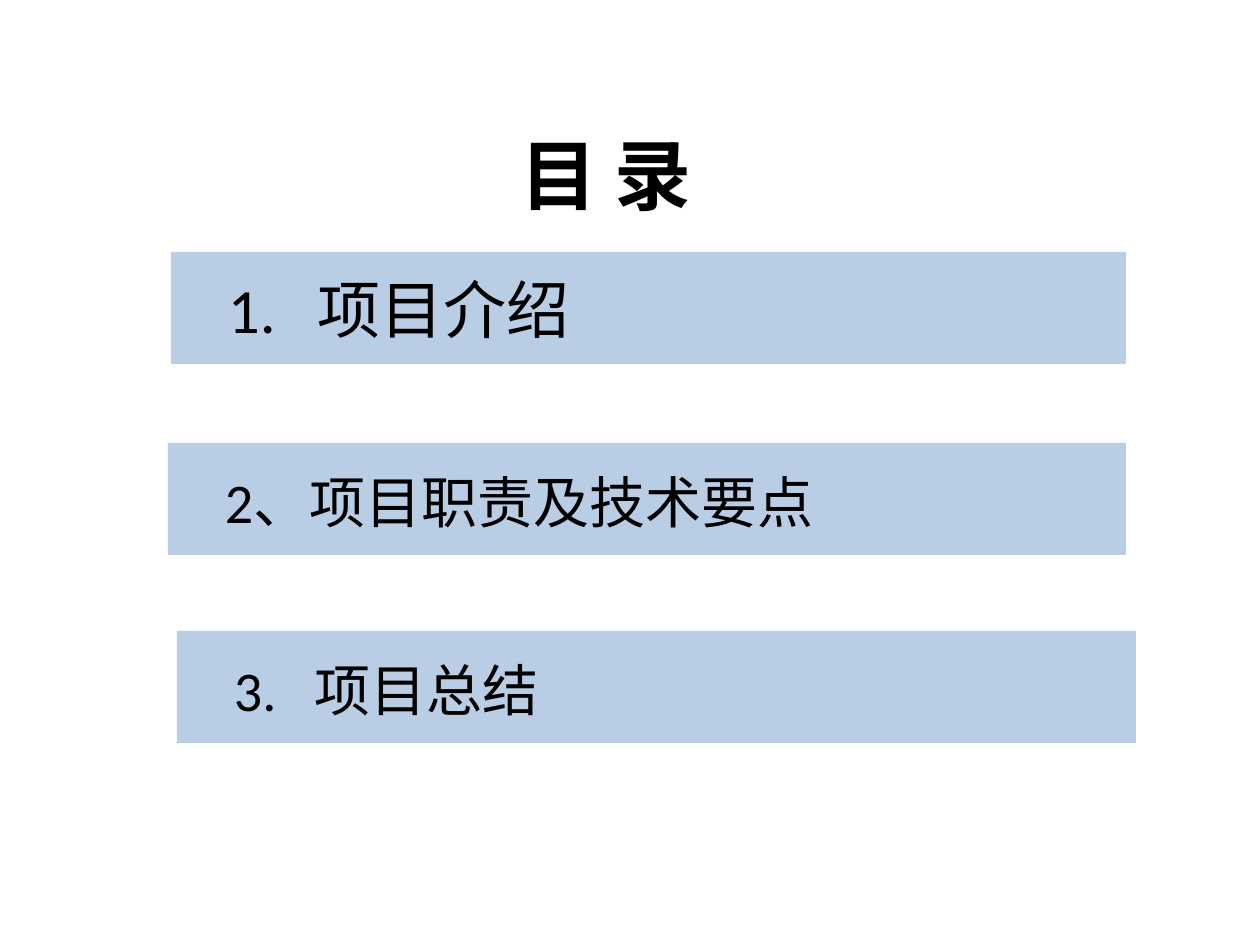
"""Build the contents slide with a title and three section bars."""
import dataclasses

import pptx
import pptx.dml.color
import pptx.enum.shapes
import pptx.enum.text
import pptx.util

COLORS = {"bar": "B9CDE5", "text": "000000"}
FONT = "Calibri"
EMU_PER_PX = 914400 / 126
BAR_HEIGHT = 112
PAD = 5
INDENT = 52


@dataclasses.dataclass
class Bar:
    left: int
    top: int
    width: int
    runs: tuple[str, ...]
    size: int
    hang: int = 0
    drop: int = 0


BARS = [
    Bar(171, 252, 955, ("1.", "\t", "项目介绍"), 36, hang=90),
    Bar(168, 443, 958, ("2、", "项目职责及技术要点"), 32, drop=4),
    Bar(177, 631, 959, ("3.", "\t", "项目总结"), 32, hang=81, drop=4),
]


def px(n: int) -> pptx.util.Emu:
    return pptx.util.Emu(round(n * EMU_PER_PX))


def rgb(name: str) -> pptx.dml.color.RGBColor:
    return pptx.dml.color.RGBColor.from_string(COLORS[name])


def add_run(p, text: str, size: int, bold: bool = False) -> None:
    r = p.add_run()
    r.text = text
    r.font.name = FONT
    r.font.size = pptx.util.Pt(size)
    r.font.bold = bold
    r.font.color.rgb = rgb("text")


def add_title(s) -> None:
    sp = s.shapes.title
    sp.left, sp.top, sp.width, sp.height = px(126), px(96), px(960), px(156)
    tf = sp.text_frame
    tf.vertical_anchor = pptx.enum.text.MSO_ANCHOR.MIDDLE
    p = tf.paragraphs[0]
    p.alignment = pptx.enum.text.PP_ALIGN.CENTER
    add_run(p, "目 录", 44, bold=True)


def add_bar(s, bar: Bar) -> None:
    sp = s.shapes.add_shape(
        pptx.enum.shapes.MSO_SHAPE.RECTANGLE,
        px(bar.left), px(bar.top), px(bar.width), px(BAR_HEIGHT),
    )
    sp.shadow.inherit = False
    sp.fill.solid()
    sp.fill.fore_color.rgb = rgb("bar")
    sp.line.fill.background()
    tf = sp.text_frame
    tf.word_wrap = True
    tf.vertical_anchor = pptx.enum.text.MSO_ANCHOR.MIDDLE
    tf.margin_left = px(PAD + INDENT)
    tf.margin_right = tf.margin_bottom = px(PAD)
    tf.margin_top = px(PAD + bar.drop)
    p = tf.paragraphs[0]
    p.alignment = pptx.enum.text.PP_ALIGN.LEFT
    pPr = p._p.get_or_add_pPr()
    pPr.set("marL", str(px(bar.hang)))
    pPr.set("indent", str(-px(bar.hang)))
    for text in bar.runs:
        add_run(p, text, bar.size)


def main() -> None:
    prs = pptx.Presentation()
    prs.slide_width, prs.slide_height = px(1260), px(945)
    s = prs.slides.add_slide(prs.slide_layouts[5])
    add_title(s)
    for bar in BARS:
        add_bar(s, bar)
    prs.save("out.pptx")


if __name__ == "__main__":
    main()
